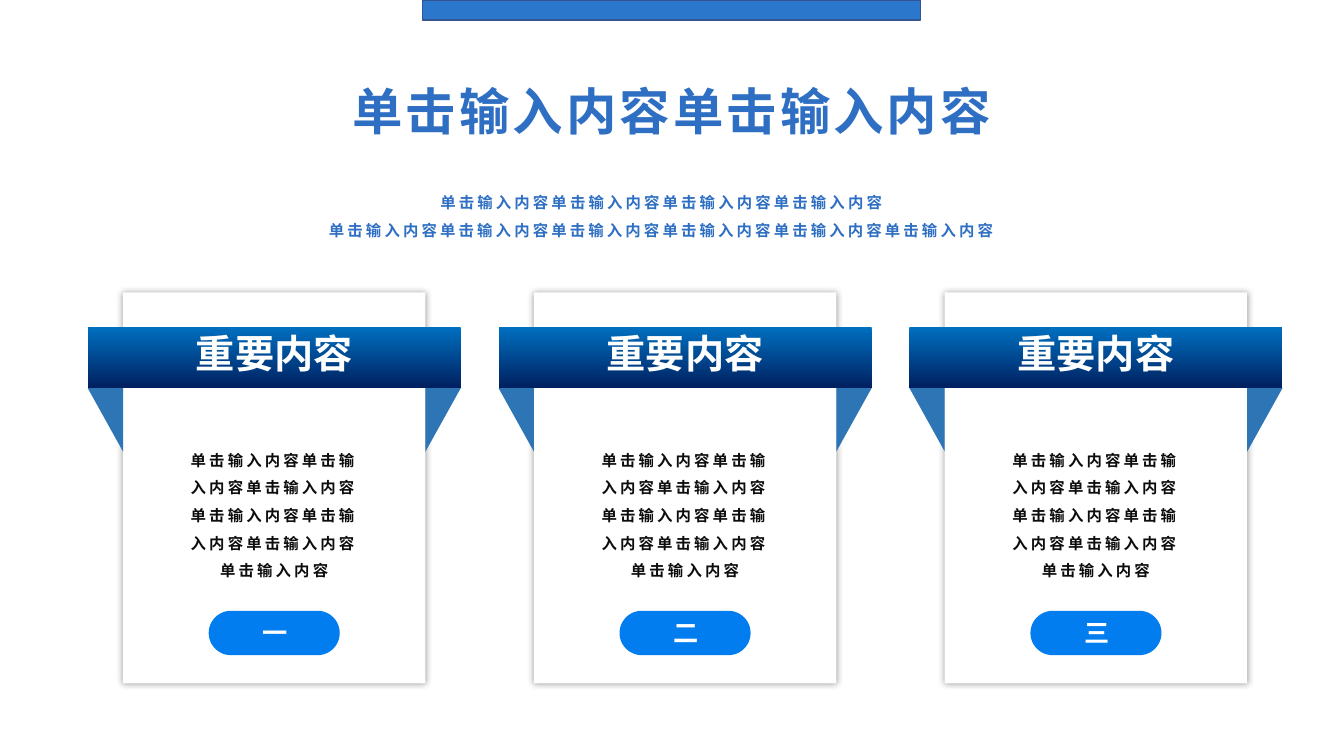
from lxml.etree import SubElement
from pptx import Presentation
from pptx.dml.color import RGBColor
from pptx.enum.shapes import MSO_SHAPE as Shape
from pptx.enum.text import PP_ALIGN as Align
from pptx.oxml.ns import qn
from pptx.util import Inches, Pt

FONT = "Noto Sans CJK SC"
WHITE = RGBColor(0xFF, 0xFF, 0xFF)
INK = RGBColor(0x0D, 0x0D, 0x0D)
HEADING_BLUE = RGBColor(0x2E, 0x6F, 0xC3)
BAR_BLUE = RGBColor(0x2B, 0x77, 0xCC)
BAR_EDGE = RGBColor(0x32, 0x54, 0x91)
FOLD_BLUE = RGBColor(0x2E, 0x75, 0xB6)
RIBBON_TOP = RGBColor(0x00, 0x70, 0xC0)
RIBBON_BOTTOM = RGBColor(0x00, 0x20, 0x60)
PILL_BLUE = RGBColor(0x02, 0x7D, 0xEF)
PHRASE = "单击输入内容"

WIDTH, HEIGHT = 13.33, 7.5
CARD_LEFT, CARD_TOP = 1.22, 2.9
CARD_WIDTH, CARD_HEIGHT = 3, 3.88
COLUMN_STEP = 8.15 / 2
FOLD_WIDTH, FOLD_HEIGHT = 0.35, 0.63
RIBBON_Y, RIBBON_HEIGHT = 3.24, 0.61
FOLD_TOP = RIBBON_Y + RIBBON_HEIGHT


def add_block(shapes, kind, left, top, width, height, color):
    shape = shapes.add_shape(kind, Inches(left), Inches(top), Inches(width), Inches(height))
    shape.shadow.inherit = False
    shape.fill.solid()
    shape.fill.fore_color.rgb = color
    shape.line.fill.background()
    return shape


def add_text(shapes, center, top, width, height, lines, size, color, line_spacing=None, tracking=0):
    box = shapes.add_textbox(Inches(center - width / 2), Inches(top), Inches(width), Inches(height))
    frame = box.text_frame
    frame.word_wrap = True
    for index, line in enumerate(lines):
        paragraph = frame.add_paragraph() if index else frame.paragraphs[0]
        paragraph.alignment = Align.CENTER
        paragraph.line_spacing = line_spacing
        run = paragraph.add_run()
        run.text = line
        run.font.size = Pt(size)
        run.font.bold = True
        run.font.color.rgb = color
        run.font.name = FONT
        properties = run.font._element
        SubElement(properties, qn("a:ea"), typeface=FONT)
        if tracking:
            properties.set("spc", str(round(tracking * 100)))


presentation = Presentation()
presentation.slide_width = Inches(WIDTH)
presentation.slide_height = Inches(HEIGHT)
slide = presentation.slides.add_slide(presentation.slide_layouts[6])

top_bar = add_block(slide.shapes, Shape.RECTANGLE, 4.19, 0, 4.94, 0.2, BAR_BLUE)
top_bar.line.color.rgb = BAR_EDGE
top_bar.line.width = Pt(1)

add_text(slide.shapes, WIDTH / 2, 0.45, 9.19, 0.9, [PHRASE * 2], 36, HEADING_BLUE, 1.5, 2.2)
add_text(slide.shapes, 6.56, 1.78, 11.75, 0.93, [PHRASE * 4, PHRASE * 6], 11, HEADING_BLUE, 1.5, 2.2)

for column, number in enumerate("一二三"):
    left = CARD_LEFT + column * COLUMN_STEP
    right = left + CARD_WIDTH
    center = left + CARD_WIDTH / 2
    shapes = slide.shapes.add_group_shape().shapes

    card = add_block(shapes, Shape.ROUND_1_RECTANGLE, left, CARD_TOP, CARD_WIDTH, CARD_HEIGHT, WHITE)
    card.adjustments[0] = 0
    effects = card._element.spPr.find(qn("a:effectLst"))
    shadow = SubElement(effects, qn("a:outerShdw"), blurRad=str(Pt(5)), dist="0", dir="0",
                        algn="ctr", rotWithShape="0")
    shadow_color = SubElement(shadow, qn("a:srgbClr"), val="000000")
    SubElement(shadow_color, qn("a:alpha"), val="40000")

    left_fold = add_block(shapes, Shape.RIGHT_TRIANGLE, left - FOLD_WIDTH, FOLD_TOP,
                          FOLD_WIDTH, FOLD_HEIGHT, FOLD_BLUE)
    left_fold.rotation = 180
    turn = (FOLD_HEIGHT - FOLD_WIDTH) / 2
    right_fold = add_block(shapes, Shape.RIGHT_TRIANGLE, right - turn, FOLD_TOP + turn,
                           FOLD_HEIGHT, FOLD_WIDTH, FOLD_BLUE)
    right_fold.rotation = 90

    ribbon = add_block(shapes, Shape.RECTANGLE, left - FOLD_WIDTH, RIBBON_Y,
                       CARD_WIDTH + 2 * FOLD_WIDTH, RIBBON_HEIGHT, RIBBON_TOP)
    ribbon.fill.gradient()
    ribbon.fill.gradient_angle = 270
    for stop, color in zip(ribbon.fill.gradient_stops, (RIBBON_TOP, RIBBON_BOTTOM)):
        stop.color.rgb = color
    add_text(shapes, center, 3.22, 2.31, 0.57, ["重要内容"], 28, WHITE)

    pill = add_block(shapes, Shape.ROUNDED_RECTANGLE, center - 0.65, 6.06, 1.3, 0.44, PILL_BLUE)
    pill.adjustments[0] = 0.5
    add_text(shapes, center + 0.01, 6.08, 1.07, 0.4, [number], 18, WHITE)
    add_text(shapes, center, 4.33, 1.93, 1.46, [PHRASE * 7], 11, INK, 1.5, 2.2)

presentation.save("out.pptx")
